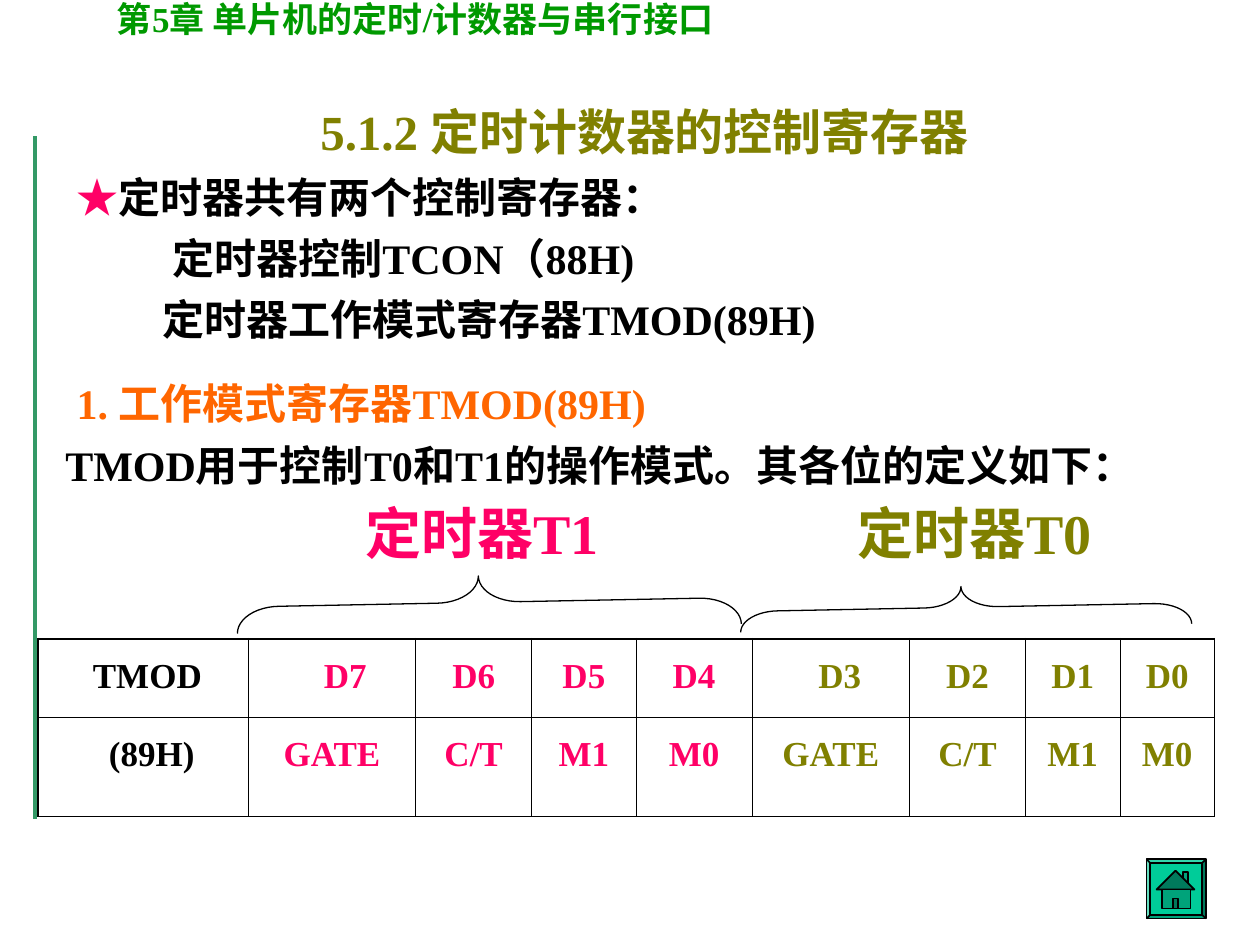
from dataclasses import dataclass

from lxml import etree
from pptx import Presentation
from pptx.dml.color import RGBColor
from pptx.enum.shapes import MSO_CONNECTOR, MSO_SHAPE
from pptx.enum.text import MSO_ANCHOR, PP_ALIGN
from pptx.oxml.ns import qn
from pptx.util import Emu, Pt

LINE = MSO_CONNECTOR.STRAIGHT
BRACE, BEVEL = MSO_SHAPE.LEFT_BRACE, MSO_SHAPE.BEVEL
RECT, ROOF = MSO_SHAPE.RECTANGLE, MSO_SHAPE.ISOSCELES_TRIANGLE
LEFT, MID = PP_ALIGN.LEFT, PP_ALIGN.CENTER
CENTER = MSO_ANCHOR.MIDDLE
SCALE = 9144


@dataclass(frozen=True)
class Theme:
    """Colours, font and type sizes of the slide."""
    font: str = "Times New Roman"
    black: str = "000000"
    green: str = "009900"
    rule: str = "339966"
    olive: str = "808000"
    pink: str = "FF0066"
    orange: str = "FF6600"
    teal: str = "00CC99"
    wall: str = "00A37A"
    dark: str = "007A5C"
    small: int = 20
    body: int = 24
    head: int = 28
    large: int = 32
    thin: float = 0.45
    thick: float = 1.08


THEME = Theme()


def px(num):
    """Turn px into EMU."""
    return Emu(round(num * SCALE))


def rgb(code):
    """Turn a hex code into a colour."""
    return RGBColor.from_string(code)


def assign(obj, form):
    """Set each format value on an object."""
    for name, value in form.items():
        setattr(obj, name, value)


def write(para, runs, size, align=LEFT, indent=0, **form):
    """Fill a paragraph with coloured runs."""
    if indent:
        para._p.get_or_add_pPr().set("marL", str(px(indent)))
    assign(para, {"alignment": align, **form})
    for text, tint in runs:
        run = para.add_run()
        run.text = text
        assign(run.font, {"name": THEME.font, "size": Pt(size), "bold": True})
        run.font.color.rgb = rgb(tint)


def add_text(slide, box, lines, anchor=MSO_ANCHOR.TOP):
    """Add a text box with one paragraph per line."""
    frame = slide.shapes.add_textbox(*map(px, box)).text_frame
    assign(frame, {"word_wrap": True, "vertical_anchor": anchor})
    for i, line in enumerate(lines):
        para = frame.add_paragraph() if i else frame.paragraphs[0]
        write(para, **line)


def add_shape(slide, kind, box, fill=None, width=1.0):
    """Add a preset shape with a black outline."""
    shape = slide.shapes.add_shape(kind, *map(px, box))
    shape.shadow.inherit = False
    if fill:
        shape.fill.solid()
        shape.fill.fore_color.rgb = rgb(fill)
    else:
        shape.fill.background()
    shape.line.color.rgb = rgb(THEME.black)
    shape.line.width = Pt(width)
    return shape


def add_brace(slide, box, tip):
    """Add a brace turned so that its tip points up."""
    brace = add_shape(slide, BRACE, box, width=0.75)
    brace.adjustments[0] = round(box[3] / box[2] / 12, 2)
    brace.adjustments[1] = tip
    brace.rotation = 88.9


def add_rule(slide, x, top, base):
    """Add the upright rule at the left edge."""
    rule = slide.shapes.add_connector(LINE, px(x), px(top), px(x), px(base))
    rule.line.color.rgb = rgb(THEME.rule)
    rule.line.width = Pt(2.25)
    etree.SubElement(rule._element.spPr, qn("a:effectLst"))


def add_edge(cell, side, width):
    """Add one border to a cell."""
    edge = etree.SubElement(cell._tc.get_or_add_tcPr(), qn(f"a:ln{side}"), w=str(Pt(width)))
    fill = etree.SubElement(edge, qn("a:solidFill"))
    etree.SubElement(fill, qn("a:srgbClr"), val=THEME.black)


def add_grid(slide, spot, cols, rows, words, shifts):
    """Add the table of register bits."""
    size = (sum(cols), sum(rows))
    table = slide.shapes.add_table(len(rows), len(cols), *map(px, spot + size)).table
    assign(table, {"first_row": False, "horz_banding": False})
    for col, width in zip(table.columns, cols):
        col.width = px(width)
    for row, height in zip(table.rows, rows):
        row.height = px(height)
    tints = [THEME.black] + [THEME.pink] * 4 + [THEME.olive] * 4
    for r, line in enumerate(words):
        for c, word in enumerate(line):
            cell = table.cell(r, c)
            outer = {"L": c == 0, "R": c == len(cols) - 1,
                     "T": r == 0, "B": r == len(rows) - 1}
            for side, rim in outer.items():
                add_edge(cell, side, THEME.thick if rim else THEME.thin)
            cell.fill.background()
            write(cell.text_frame.paragraphs[0], [(word, tints[c])], THEME.small,
                  MID, shifts.get(word, 0), line_spacing=1.3)


def add_home(slide):
    """Add the home button."""
    button = add_shape(slide, BEVEL, (910, 682, 47, 47), THEME.teal)
    button.adjustments[0] = 0.06
    parts = [(RECT, (939, 692, 4, 12), THEME.wall), (ROOF, (918, 691, 30, 15), THEME.dark),
             (RECT, (922, 706, 23, 15), THEME.wall), (RECT, (931, 713, 4, 8), THEME.dark)]
    for kind, box, fill in parts:
        add_shape(slide, kind, box, fill)


def main():
    """Build and save the slide."""
    deck = Presentation()
    assign(deck, {"slide_width": px(1000), "slide_height": px(750)})
    slide = deck.slides.add_slide(deck.slide_layouts[6])
    t = THEME
    gap = {"size": t.body, "space_before": Pt(6)}

    add_rule(slide, 28, 108, 650)
    add_text(slide, (83, -7, 575, 44), [
        {"runs": [("第5章 单片机的定时/计数器与串行接口", t.green)], "size": t.small}])
    add_brace(slide, (367, 278, 42, 400), 0.52)
    add_text(slide, (51, 76, 921, 202), [
        {"runs": [("5.1.2 定时计数器的控制寄存器", t.olive)], "size": t.head, "align": MID},
        {"runs": [("★", t.pink), ("定时器共有两个控制寄存器:".replace(":", "："), t.black)], **gap},
        {"runs": [("定时器控制TCON（88H)", t.black)], "indent": 76, **gap},
        {"runs": [("定时器工作模式寄存器TMOD(89H)", t.black)], "indent": 68, **gap}])
    add_text(slide, (51, 280, 850, 80), [
        {"runs": [("1. 工作模式寄存器TMOD(89H)", t.orange)], "size": t.body}], CENTER)
    add_text(slide, (42, 344, 958, 55), [
        {"runs": [("TMOD用于控制T0和T1的操作模式。其各位的定义如下：", t.black)], "size": t.body}])
    bits = ["GATE", "C/T", "M1", "M0"]
    add_grid(slide, (30, 507), [167, 133, 92, 83, 92, 125, 92, 75, 75], [62, 79],
             [["TMOD"] + [f"D{n}" for n in range(7, -1, -1)], ["(89H)"] + bits * 2],
             {"TMOD": 7, "D7": 21, "D3": 14, "(89H)": 14})
    add_brace(slide, (750, 303, 33, 358), 0.51)
    for x, width, name, tint in [(671, 233, "T0", t.olive), (280, 250, "T1", t.pink)]:
        add_text(slide, (x, 391, width, 64), [
            {"runs": [(f"定时器{name}", tint)], "size": t.large}])
    add_home(slide)
    deck.save("out.pptx")


if __name__ == "__main__":
    main()
